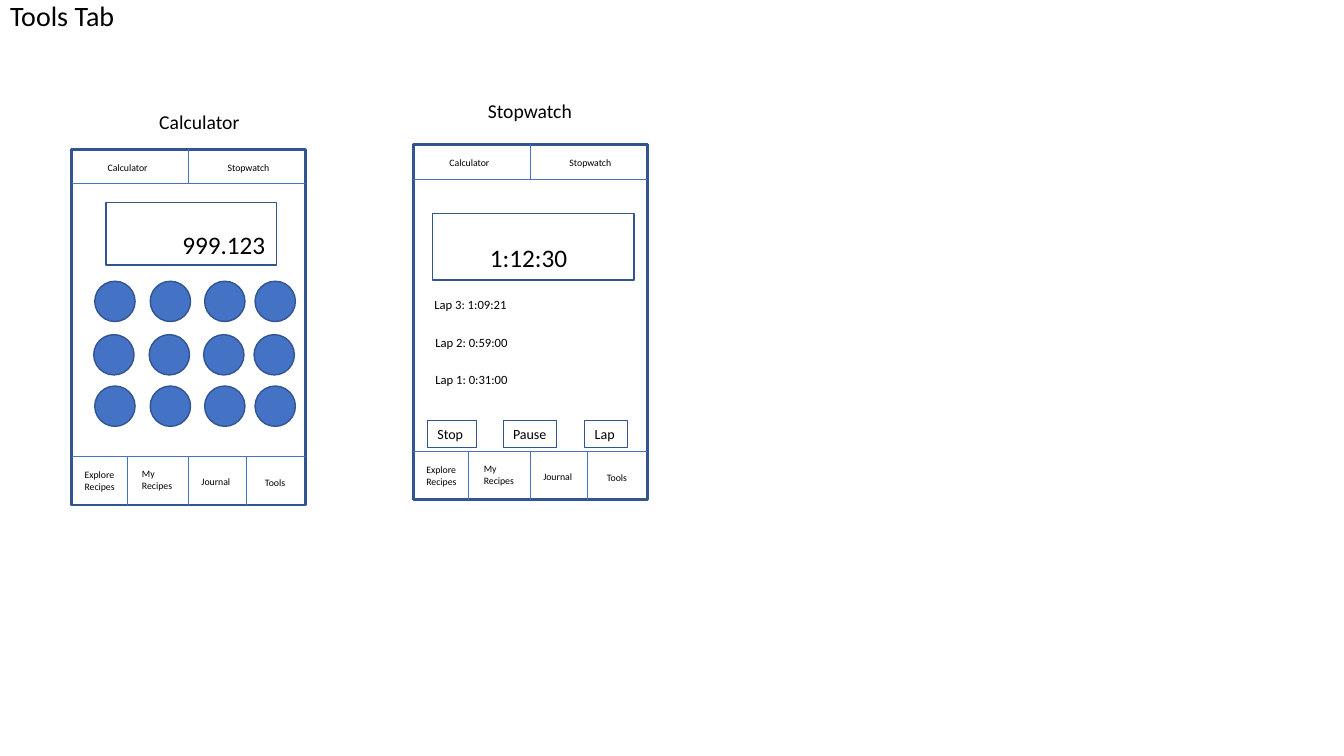
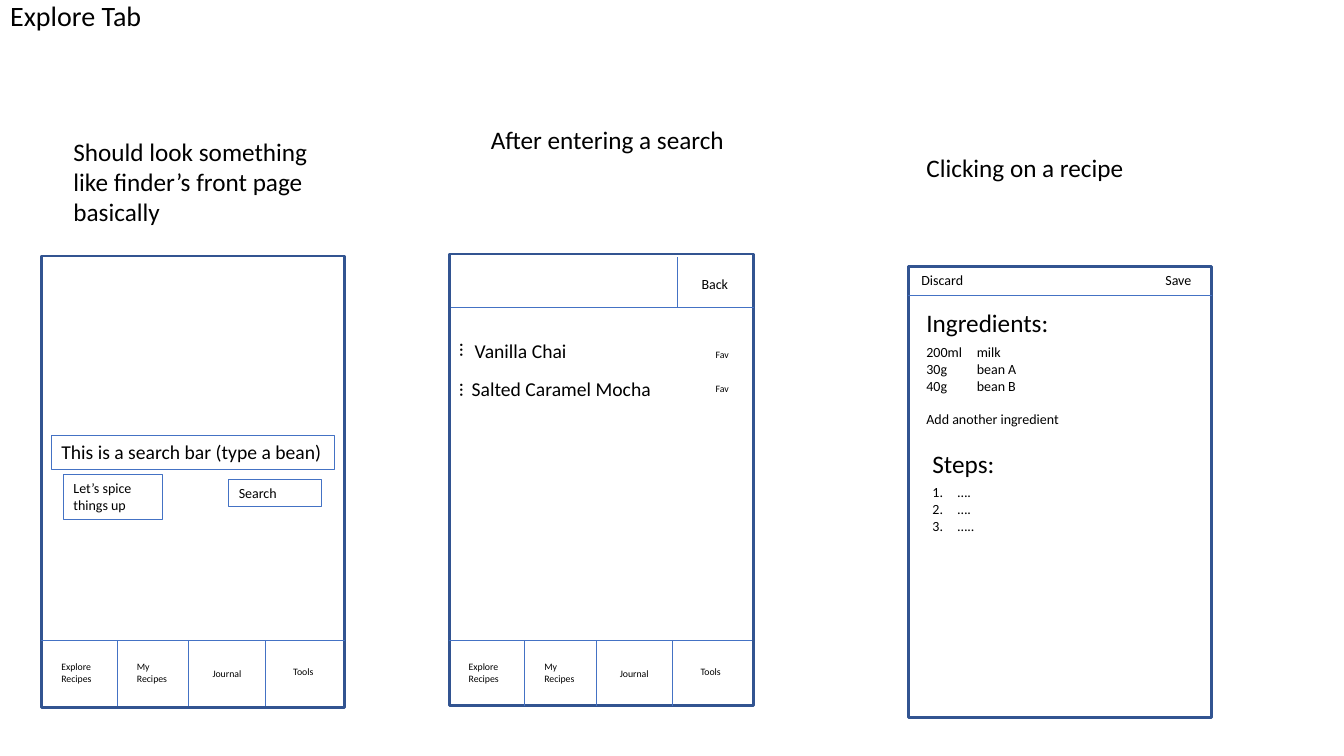
from dataclasses import dataclass
from itertools import product

from lxml import etree
from pptx import Presentation
from pptx.dml.color import RGBColor
from pptx.enum import shapes, text
from pptx.oxml import ns
from pptx.util import Emu, Pt


@dataclass(frozen=True)
class Theme:
    font: str = "Calibri"
    ink: str = "000000"
    blue: str = "4472C4"
    navy: str = "325491"
    title: int = 20
    head: int = 18
    item: int = 14
    body: int = 10
    lap: int = 9
    tiny: int = 7
    frame: float = 2
    edge: float = 1
    box: float = 0.75
    rule: float = 0.5


T = Theme()
PX = 9144
WIDTH, HEIGHT = 1333, 750
TITLE = (0, 0, 789, 35)

TABS = (("Explore Recipes", 59, 34), ("My Recipes", 59, 34),
        ("Journal", 74, 22), ("Tools", 74, 22))
SMALL = dict(w=232, h=48, cuts=(55, 116, 173),
             spots=((3, 7), (60, 6), (119, 14), (182, 15)))
LARGE = dict(w=301, h=65, cuts=(75, 146, 222),
             spots=((10, 16), (85, 16), (160, 22), (240, 21)))
TOPS = (("Calculator", 26), ("Stopwatch", 145))

KEY = 40
KEYS_X = (94, 149, 203, 253)
KEYS_Y = ((279, 0), (332, -1), (383, 0))

SLIDES = (
    dict(
        title="Tools Tab",
        frames=((71, 148, 232, 353), (410, 143, 232, 353)),
        panels=((105, 201, 169, 62), (429, 212, 200, 66)),
        keys=[(x + shift, y) for (y, shift), x in product(KEYS_Y, KEYS_X)],
        tops=((71, 182), (410, 178)),
        navs=((71, 453, SMALL), (410, 448, SMALL)),
        labels=(
            ("Calculator", 148, 104, 159, 34, T.item),
            ("Stopwatch", 474, 93, 336, 34, T.item),
            ("Lap 3: 1:09:21", 421, 290, 207, 25, T.lap),
            ("Lap 2: 0:59:00", 422, 327, 207, 25, T.lap),
            ("Lap 1: 0:31:00", 422, 364, 207, 25, T.lap),
        ),
        loose=(
            ("999.123", 171, 223, 103, 40, T.head),
            ("1:12:30", 476, 235, 98, 40, T.head),
        ),
        boxes=(
            ("Stop", 424, 417, 49, 27, T.body, T.navy),
            ("Pause", 499, 417, 53, 27, T.body, T.navy),
            ("Lap", 580, 417, 42, 27, T.body, T.navy),
        ),
    ),
    dict(
        title="Explore Tab",
        frames=((41, 254, 301, 448), (446, 252, 301, 448),
                (901, 264, 301, 448)),
        navs=((41, 635, LARGE), (445, 635, LARGE)),
        rules=((447, 305, 748, 305), (672, 255, 672, 305),
               (901, 293, 1202, 293)),
        labels=(
            ("Should look something like finder’s front page basically",
             63, 130, 289, 101, T.head),
            ("After entering a search", 477, 118, 289, 40, T.head),
            ("Clicking on a recipe", 909, 146, 315, 40, T.head),
            ("Back", 686, 268, 113, 27, T.body),
            ("Vanilla Chai", 461, 331, 271, 34, T.item),
            ("Salted Caramel Mocha", 458, 369, 271, 34, T.item),
            ("Fav", 700, 341, 34, 22, T.tiny),
            ("Fav", 700, 375, 34, 22, T.tiny),
            ("Discard", 904, 264, 69, 57, T.body),
            ("Save", 1146, 264, 69, 57, T.body),
            ("Ingredients:", 909, 300, 260, 40, T.head),
            ("Steps:", 915, 440, 260, 40, T.head),
        ),
        dots=(("…", 449, 329, 30, 34, T.item),
              ("…", 449, 369, 30, 34, T.item)),
        boxes=(
            ("Let’s spice things up", 63, 471, 98, 44, T.body, T.blue),
            ("Search", 227, 476, 92, 27, T.body, T.blue),
        ),
        search=("This is a search bar (type a bean)",
                51, 432, 281, 34, T.item),
        foods=(("200ml\tmilk", "30g\tbean A", "40g\tbean B",
                "Add another ingredient"), 909, 336, 280, 94, T.body),
        steps=(("….", "….", "….."), 915, 475, 280, 61, T.body),
    ),
)


def px(*vals):
    return [Emu(v * PX) for v in vals]


def tint(hue):
    return RGBColor.from_string(hue)


def stroke(shape, hue, width):
    shape.line.color.rgb = tint(hue)
    shape.line.width = Pt(width)


def add_run(para, words, size):
    run = para.add_run()
    run.text = words
    run.font.name = T.font
    run.font.size = Pt(size)
    run.font.color.rgb = tint(T.ink)


def write(slide, words, x, y, w, h, size, wrap=True, edge=None):
    box = slide.shapes.add_textbox(*px(x, y, w, h))
    frame = box.text_frame
    frame.word_wrap = wrap
    frame.auto_size = text.MSO_AUTO_SIZE.SHAPE_TO_FIT_TEXT
    lines = (words,) if isinstance(words, str) else words
    for i, line in enumerate(lines):
        para = frame.add_paragraph() if i else frame.paragraphs[0]
        add_run(para, line, size)
    if edge:
        stroke(box, edge, T.box)
    return box


def draw(slide, kind, at, width, fill=None):
    shape = slide.shapes.add_shape(kind, *px(*at))
    shape.shadow.inherit = False
    if fill:
        shape.fill.solid()
        shape.fill.fore_color.rgb = tint(fill)
    else:
        shape.fill.background()
    stroke(shape, T.navy, width)
    return shape


def sites(at):
    x, y, w, h = at
    return ((x + w // 2, y), (x, y + h // 2),
            (x + w // 2, y + h), (x + w, y + h // 2))


def rule(slide, ends, frames):
    line = slide.shapes.add_connector(
        shapes.MSO_CONNECTOR.STRAIGHT, *px(*ends))
    stroke(line, T.blue, T.rule)
    etree.SubElement(line._element.spPr, ns.qn("a:effectLst"))
    for shape, at in frames:
        for i, spot in enumerate(sites(at)):
            if spot == ends[:2]:
                line.begin_connect(shape, i)
            if spot == ends[2:]:
                line.end_connect(shape, i)


def add_nav(slide, x, y, style, frames):
    rule(slide, (x, y, x + style["w"], y), frames)
    for cut in style["cuts"]:
        rule(slide, (x + cut, y, x + cut, y + style["h"]), frames)
    for (name, w, h), (dx, dy) in zip(TABS, style["spots"]):
        write(slide, name, x + dx, y + dy, w, h, T.tiny)


def add_top(slide, x, y, frames):
    w = SMALL["w"]
    rule(slide, (x, y, x + w, y), frames)
    top = next(at[1] for _, at in frames if at[0] == x)
    rule(slide, (x + w // 2, y, x + w // 2, top), frames)
    for name, dx in TOPS:
        write(slide, name, x + dx, y - 27, 74, 22, T.tiny)


def add_title(slide, words):
    title = slide.shapes.title
    title.left, title.top, title.width, title.height = px(*TITLE)
    frame = title.text_frame
    frame.word_wrap = True
    frame.auto_size = text.MSO_AUTO_SIZE.NONE
    frame.vertical_anchor = text.MSO_ANCHOR.MIDDLE
    para = frame.paragraphs[0]
    para.alignment = text.PP_ALIGN.LEFT
    para.line_spacing = 0.9
    add_run(para, words, T.title)


def number(box):
    for para in box.text_frame.paragraphs:
        props = para._p.get_or_add_pPr()
        props.set("marL", str(25 * PX))
        props.set("indent", str(-25 * PX))
        etree.SubElement(props, ns.qn("a:buAutoNum"), type="arabicPeriod")


def build(deck, page):
    slide = deck.slides.add_slide(deck.slide_layouts[5])
    rect = shapes.MSO_SHAPE.RECTANGLE
    add_title(slide, page["title"])
    frames = [(draw(slide, rect, at, T.frame), at) for at in page["frames"]]
    for at in page.get("panels", ()):
        draw(slide, rect, at, T.edge)
    for x, y in page.get("keys", ()):
        draw(slide, shapes.MSO_SHAPE.OVAL, (x, y, KEY, KEY), T.edge, T.blue)
    for x, y in page.get("tops", ()):
        add_top(slide, x, y, frames)
    for x, y, style in page["navs"]:
        add_nav(slide, x, y, style, frames)
    for ends in page.get("rules", ()):
        rule(slide, ends, frames)
    for label in page["labels"]:
        write(slide, *label)
    for label in page.get("loose", ()):
        write(slide, *label, wrap=False)
    for dot in page.get("dots", ()):
        write(slide, *dot).rotation = 90
    for *label, edge in page["boxes"]:
        write(slide, *label, edge=edge)
    if "search" in page:
        write(slide, *page["search"], wrap=False, edge=T.blue)
    if "foods" in page:
        foods = write(slide, *page["foods"])
        foods.text_frame.paragraphs[-1].space_before = Pt(12)
    if "steps" in page:
        number(write(slide, *page["steps"]))


def main():
    deck = Presentation()
    deck.slide_width, deck.slide_height = px(WIDTH, HEIGHT)
    for page in SLIDES:
        build(deck, page)
    deck.save("out.pptx")


if __name__ == "__main__":
    main()
